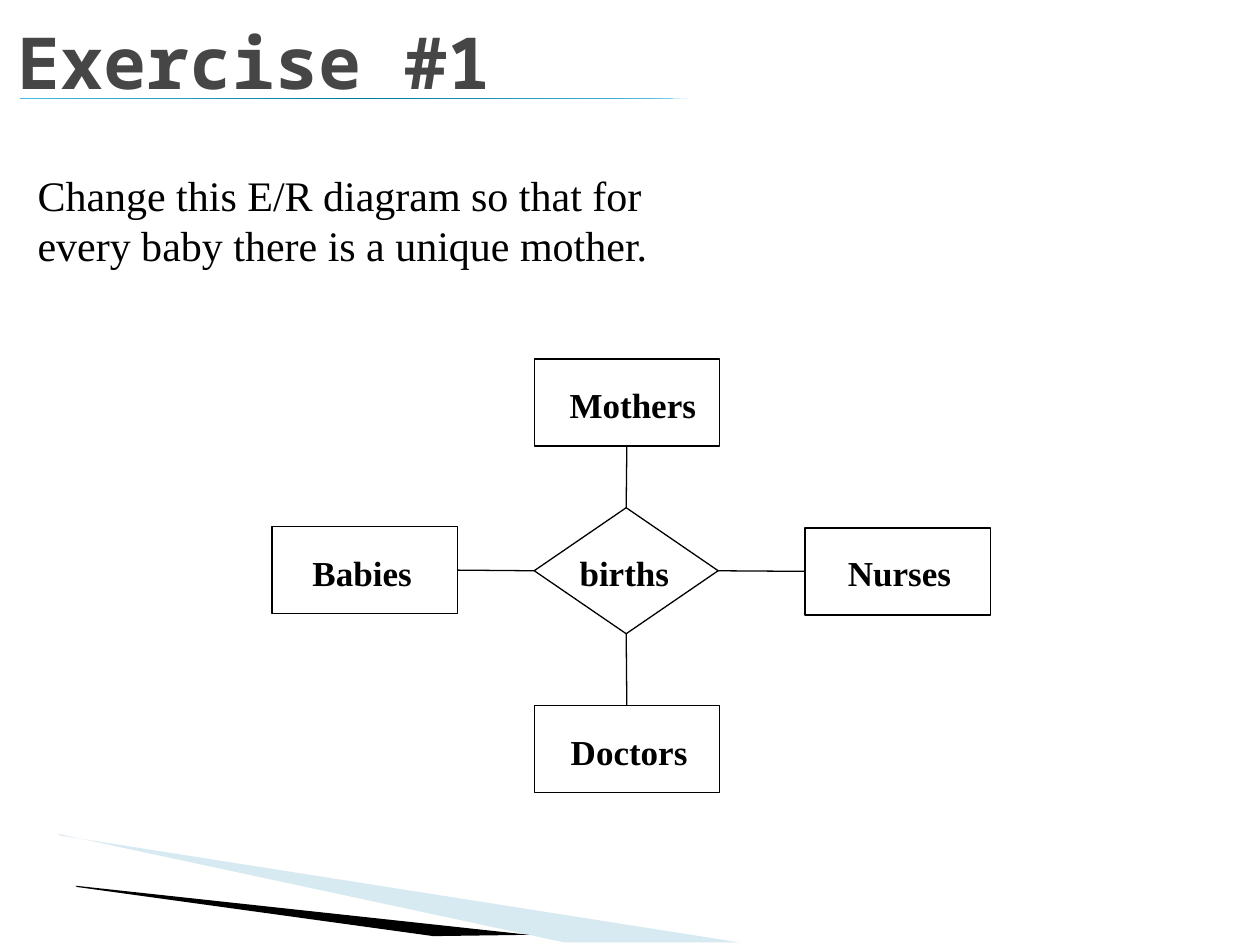
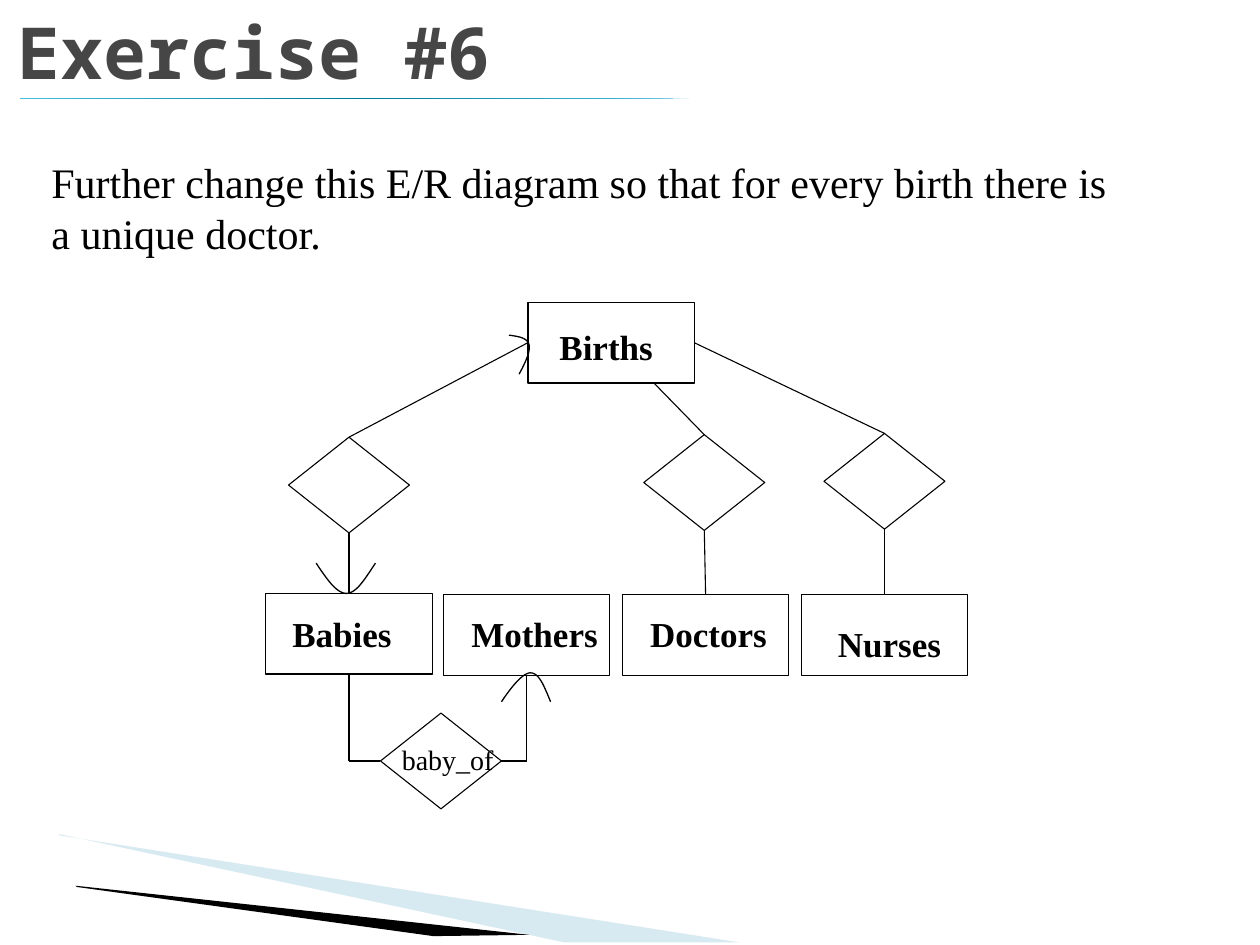
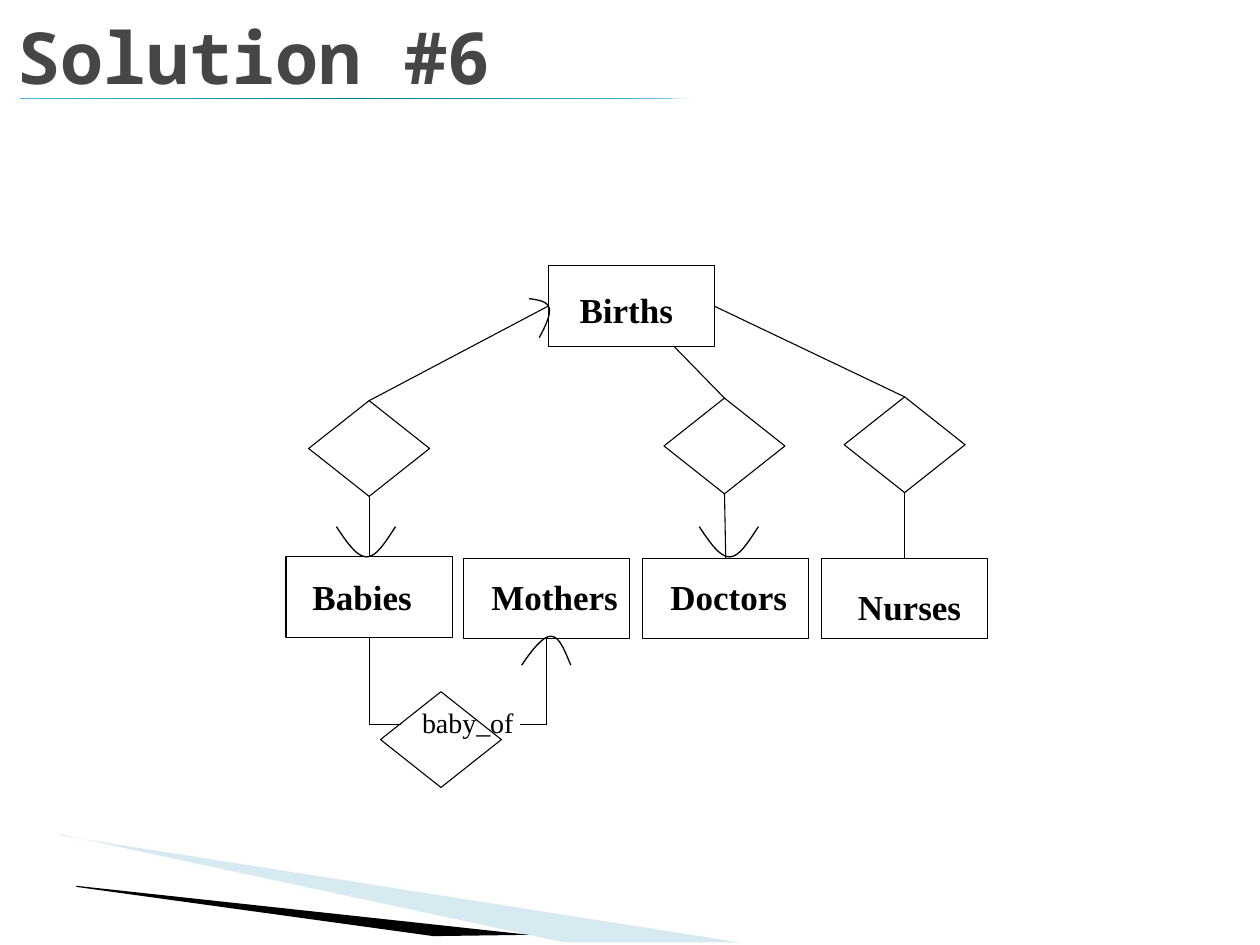
from copy import deepcopy

from lxml import etree
from pptx import Presentation
from pptx.dml.color import RGBColor
from pptx.enum.shapes import MSO_CONNECTOR, MSO_SHAPE
from pptx.enum.text import MSO_ANCHOR, MSO_AUTO_SIZE
from pptx.oxml.ns import qn
from pptx.util import Inches, Pt

RECTANGLE, DIAMOND, TRIANGLE = MSO_SHAPE.RECTANGLE, MSO_SHAPE.DIAMOND, MSO_SHAPE.RIGHT_TRIANGLE
STRAIGHT = MSO_CONNECTOR.STRAIGHT
TOP, LEFT, BOTTOM, RIGHT = range(4)

BLACK, WHITE, TITLE_GREY = "000000", "FFFFFF", "464646"
PALE_BLUE, SKY, TEAL = "9FCBDC", "4ABBE0", "007897"
TITLE_FONT, BODY_FONT = "Noto Sans Mono", "Times New Roman"
THICK, THIN = 0.75, 0.62

LABEL_WIDTHS = {"Mothers": 1.02, "Doctors": 0.94, "Babies": 0.8, "Nurses": 0.83,
                "births": 0.73, "Births": 0.76, "baby_of": 0.74}

# Bezier points of the rounded arrowheads, relative to their first point
DOWN_HEAD = [(0, 0), (0.08, 0.12), (0.16, 0.24), (0.24, 0.24), (0.32, 0.24), (0.39, 0.12), (0.47, 0)]
UP_HEAD = [(0, 0), (0.08, -0.12), (0.17, -0.23), (0.23, -0.23), (0.3, -0.23), (0.34, -0.12), (0.39, 0)]
RIGHT_HEAD = [(0, 0), (0.07, 0.01), (0.15, 0.02), (0.16, 0.08), (0.17, 0.13), (0.13, 0.22), (0.08, 0.31)]


def color(hex_string):
    return RGBColor.from_string(hex_string)


def set_line(line, width):
    line.color.rgb = color(BLACK)
    line.width = Pt(width)


def add_text(slide, box, lines, size, font=BODY_FONT, text_color=BLACK, bold=False,
             anchor=MSO_ANCHOR.TOP, wrap=False):
    text_box = slide.shapes.add_textbox(*map(Inches, box))
    frame = text_box.text_frame
    frame.word_wrap = wrap
    frame.vertical_anchor = anchor
    frame.text = "\n".join(lines)
    for paragraph in frame.paragraphs:
        paragraph.font.name = font
        paragraph.font.size = Pt(size)
        paragraph.font.bold = bold
        paragraph.font.color.rgb = color(text_color)
    return frame


def add_label(slide, left, top, name, size=20, bold=True):
    frame = add_text(slide, (left, top, LABEL_WIDTHS[name], size / 60), [name], size, bold=bold)
    frame.margin_left = frame.margin_top = frame.margin_right = frame.margin_bottom = 0
    frame.auto_size = MSO_AUTO_SIZE.SHAPE_TO_FIT_TEXT


def add_node(slide, kind, box, width):
    node = slide.shapes.add_shape(kind, *map(Inches, box))
    node.shadow.inherit = False
    node.fill.solid()
    node.fill.fore_color.rgb = color(WHITE)
    set_line(node.line, width)
    return node


def link(slide, start, end, width):
    """Draw a line between two ends, each an (x, y) point or a (node, side) pair."""
    joined = [not isinstance(place[0], (int, float)) for place in (start, end)]
    points = [(0, 0) if is_node else place for is_node, place in zip(joined, (start, end))]
    line = slide.shapes.add_connector(STRAIGHT, *(Inches(v) for point in points for v in point))
    if joined[0]:
        line.begin_connect(*start)
    if joined[1]:
        line.end_connect(*end)
    set_line(line.line, width)
    etree.SubElement(line.element.spPr, qn("a:effectLst"))


def add_outline(slide, points, close):
    (x, y), *rest = [(Inches(px), Inches(py)) for px, py in points]
    builder = slide.shapes.build_freeform(x, y, scale=1.0)
    builder.add_line_segments(rest, close=close)
    outline = builder.convert_to_shape()
    outline.shadow.inherit = False
    return outline


def add_round_head(slide, left, top, curve, steps=12):
    points = [curve[0]]
    for first in (0, 3):
        controls = curve[first:first + 4]
        for step in range(1, steps + 1):
            t = step / steps
            weights = ((1 - t) ** 3, 3 * t * (1 - t) ** 2, 3 * t * t * (1 - t), t ** 3)
            points.append(tuple(sum(w * c[axis] for w, c in zip(weights, controls))
                                for axis in (0, 1)))
    head = add_outline(slide, [(left + x, top + y) for x, y in points], close=False)
    head.fill.background()
    set_line(head.line, THICK)


def add_wedge(slide, points, fill):
    wedge = add_outline(slide, points, close=True)
    wedge.fill.solid()
    wedge.fill.fore_color.rgb = color(fill)
    wedge.line.fill.background()
    return wedge


def add_title_rule(slide):
    rule = slide.shapes.add_shape(TRIANGLE, *map(Inches, (0.16, 0.78, 5.31, 0.01)))
    rule.shadow.inherit = False
    rule.line.fill.background()
    rule.element.spPr.find(qn("a:xfrm")).set("flipV", "1")
    rule.fill.gradient()
    rule.fill.gradient_angle = 0
    first_stop = rule.element.spPr.find(".//" + qn("a:gs"))
    first_stop.addnext(deepcopy(first_stop))
    for stop, position, hue in zip(rule.fill.gradient_stops, (0, 0.5, 1), (SKY, TEAL, SKY)):
        stop.position = position
        stop.color.rgb = color(hue)


def add_base(deck, title, title_top):
    """Start a slide with the shared corner wedges, rule and title."""
    slide = deck.slides.add_slide(deck.slide_layouts[6])
    pale = add_wedge(slide, [(0.47, 6.63), (5.87, 7.48), (4.48, 7.48), (0.47, 6.62)], PALE_BLUE)
    tint = pale.element.spPr.find(".//" + qn("a:srgbClr"))
    etree.SubElement(tint, qn("a:alpha")).set("val", "40000")
    add_wedge(slide, [(0.6, 7.03), (4.2, 7.42), (3.44, 7.43), (0.61, 7.04)], BLACK)
    add_title_rule(slide)
    add_text(slide, (0.04, title_top, 8.52, 0.79), [title], 41, TITLE_FONT, TITLE_GREY,
             bold=True, anchor=MSO_ANCHOR.BOTTOM, wrap=True)
    return slide


def add_task(slide, box, lines):
    add_text(slide, box, lines, 24, anchor=MSO_ANCHOR.MIDDLE)


def add_entity(slide, left, top, size, name, label_dx, label_dy, width):
    entity = add_node(slide, RECTANGLE, (left, top, *size), width)
    add_label(slide, left + label_dx, top + label_dy, name)
    return entity


def four_way_diagram(slide, left, top):
    """One births relationship joined to four entities."""
    births = add_node(slide, DIAMOND, (left + 2.08, top + 1.18, 1.46, 1), THICK)
    add_label(slide, left + 2.44, top + 1.53, "births")
    entities = [  # name, x, y, label offset, side of births, side of entity
        ("Mothers", 2.08, 0, 0.28, 0.19, TOP, BOTTOM),
        ("Babies", 0, 1.33, 0.32, 0.2, LEFT, RIGHT),
        ("Nurses", 4.23, 1.34, 0.34, 0.19, RIGHT, LEFT),
        ("Doctors", 2.08, 2.75, 0.29, 0.2, BOTTOM, TOP),
    ]
    for name, x, y, label_dx, label_dy, births_side, entity_side in entities:
        entity = add_entity(slide, left + x, top + y, (1.47, 0.69), name, label_dx, label_dy, THICK)
        link(slide, (births, births_side), (entity, entity_side), THICK)


def births_diagram(slide, left, top, baby_of_at, unique_doctor):
    """Births as an entity above a row of four entities, with baby_of below."""
    size = (1.32, 0.64)
    relation_size = (0.96, 0.76)

    # Entities: name, x, y, label offset
    row = [("Babies", 0, 2.31, 0.21, 0.15), ("Mothers", 1.41, 2.32, 0.22, 0.14),
           ("Doctors", 2.83, 2.32, 0.22, 0.14), ("Nurses", 4.25, 2.32, 0.29, 0.22)]
    entities = {name: add_entity(slide, left + x, top + y, size, name, dx, dy, THIN)
                for name, x, y, dx, dy in row}
    births = add_entity(slide, left + 2.08, top, size, "Births", 0.25, 0.18, THIN)

    # Relationships between Births and the row
    relations = [("Babies", 0.18, 1.07, (births, LEFT)),
                 ("Doctors", 3, 1.05, (left + 3.08, top + 0.64)),
                 ("Nurses", 4.43, 1.04, (births, RIGHT))]
    for name, x, y, births_end in relations:
        relation = add_node(slide, DIAMOND, (left + x, top + y, *relation_size), THIN)
        link(slide, births_end, (relation, TOP), THIN)
        link(slide, (relation, BOTTOM), (entities[name], TOP), THIN)

    # baby_of, reached by a bent line from each side
    baby_of = add_node(slide, DIAMOND, (*baby_of_at, *relation_size), THIN)
    add_label(slide, left + 1.08, top + 3.49, "baby_of", size=16, bold=False)
    bend_y = top + 3.64
    in_line = abs(baby_of_at[1] + relation_size[1] / 2 - bend_y) < 0.02
    for name, bend_x, stub_x, side in (("Babies", 0.66, 0.91, LEFT),
                                       ("Mothers", 2.07, 1.86, RIGHT)):
        corner = (left + bend_x, bend_y)
        link(slide, (entities[name], BOTTOM), corner, THIN)
        link(slide, corner, (baby_of, side) if in_line else (left + stub_x, bend_y), THIN)

    # Rounded arrowheads
    add_round_head(slide, left + 1.93, top + 0.26, RIGHT_HEAD)
    add_round_head(slide, left + 0.4, top + 2.07, DOWN_HEAD)
    add_round_head(slide, left + 1.87, top + 3.17, UP_HEAD)
    if unique_doctor:
        add_round_head(slide, left + 3.28, top + 2.07, DOWN_HEAD)


def main():
    deck = Presentation()
    deck.slide_width, deck.slide_height = Inches(10), Inches(7.5)

    exercise_1 = add_base(deck, "Exercise #1", 0.08)
    four_way_diagram(exercise_1, 2.16, 2.85)
    add_task(exercise_1, (0.2, 0.8, 6.06, 1.89),
             ["Change this E/R diagram so that for", "every baby there is a unique mother."])

    exercise_6 = add_base(deck, "Exercise #6", 0)
    add_task(exercise_6, (0.31, 0.7, 8.74, 1.89),
             ["Further change this E/R diagram so that for every birth there is",
              "a unique doctor."])
    births_diagram(exercise_6, 2.11, 2.4, baby_of_at=(3.02, 5.66), unique_doctor=False)

    solution_6 = add_base(deck, "Solution #6", 0.04)
    births_diagram(solution_6, 2.27, 2.11, baby_of_at=(3.02, 5.49), unique_doctor=True)

    deck.save("out.pptx")


if __name__ == "__main__":
    main()
